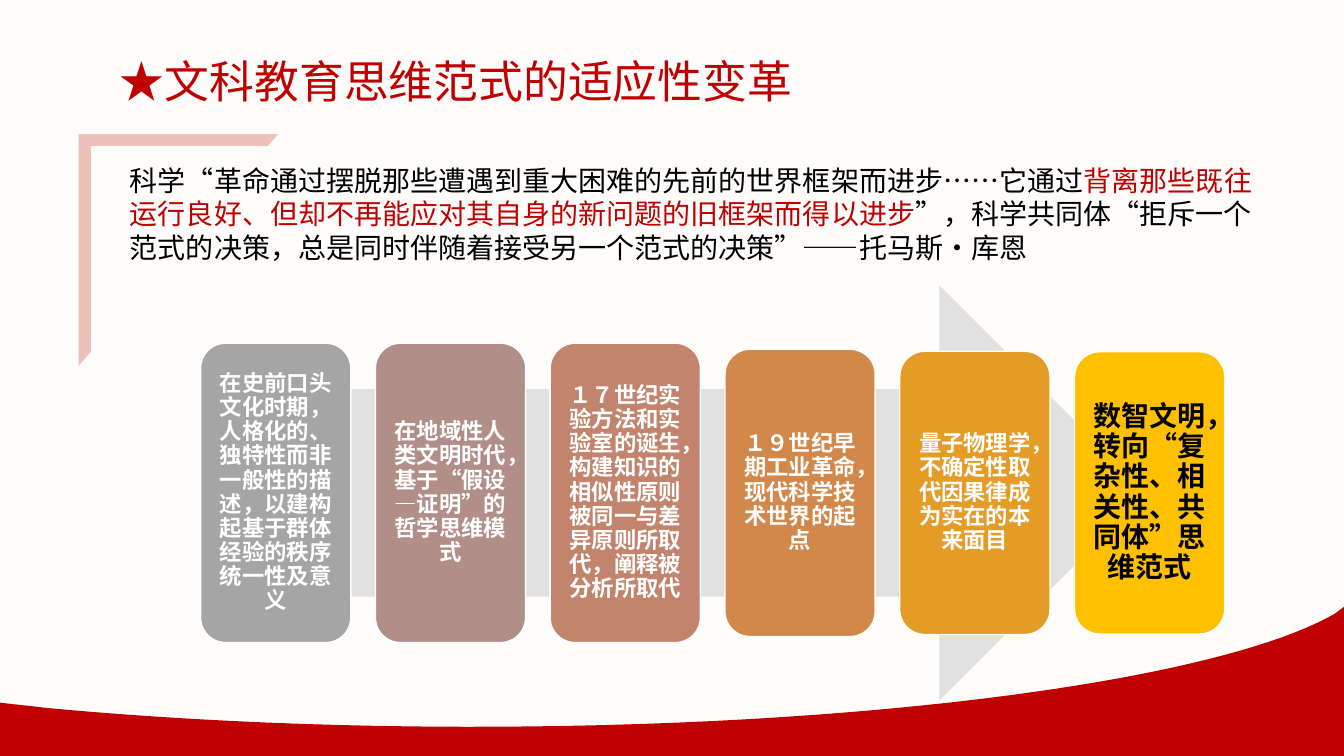
from dataclasses import dataclass

import pptx
import pptx.dml.color
import pptx.enum.shapes
import pptx.enum.text
import pptx.oxml
import pptx.oxml.ns
import pptx.util
from pptx.util import Inches, Pt


@dataclass(frozen=True)
class Theme:
    font: str = "Noto Sans CJK SC"
    background: str = "FFFDFB"
    red: str = "C00000"
    pink: str = "EEC0BA"
    arrow: str = "E1E1E1"
    black: str = "000000"
    white: str = "FFFFFF"
    title_size: int = 32
    quote_size: int = 20
    stage_size: int = 16
    final_size: int = 20


theme = Theme()
rgb = pptx.dml.color.RGBColor.from_string
shapes_enum = pptx.enum.shapes.MSO_SHAPE


def style_text(paragraph, size, color, bold=False):
    """Set the paragraph font, for Latin and East Asian letters alike."""
    font = paragraph.font
    font.size, font.bold, font.name = Pt(size), bold, theme.font
    font.color.rgb = rgb(color)
    east_asian = pptx.oxml.parse_xml(
        f'<a:ea {pptx.oxml.ns.nsdecls("a")} typeface="{theme.font}"/>')
    paragraph._p.pPr.find(pptx.oxml.ns.qn("a:defRPr")).append(east_asian)


def paint(shape, fill, line=None):
    shape.shadow.inherit = False
    shape.fill.solid()
    shape.fill.fore_color.rgb = rgb(fill)
    if line:
        shape.line.color.rgb = rgb(line)
        shape.line.width = Pt(1)
    else:
        shape.line.fill.background()


deck = pptx.Presentation()
deck.slide_width, deck.slide_height = Inches(13.333), Inches(7.5)
slide = deck.slides.add_slide(deck.slide_layouts[5])
slide.background.fill.solid()
slide.background.fill.fore_color.rgb = rgb(theme.background)

# Red wave along the bottom: three Bezier curves sampled as short lines
curves = [
    [(0, 6.97), (0.14, 6.99), (0.29, 7.0), (0.43, 7.02)],
    [(0.43, 7.02), (1.7, 7.14), (3.15, 7.21), (4.69, 7.21)],
    [(4.69, 7.21), (8.71, 7.21), (12.1, 6.74), (13.24, 6.09)],
]
steps = 40
crest = []
for curve in curves:
    for step in range(1, steps + 1):
        t = step / steps
        weights = ((1 - t) ** 3, 3 * t * (1 - t) ** 2, 3 * t * t * (1 - t), t ** 3)
        crest.append([Inches(sum(w * point[axis] for w, point in zip(weights, curve)))
                      for axis in (0, 1)])
right, bottom = deck.slide_width, deck.slide_height
wave_outline = slide.shapes.build_freeform(0, Inches(6.97))
wave_outline.add_line_segments(
    crest + [(right, Inches(6.02)), (right, bottom), (0, bottom)], close=True)
paint(wave_outline.convert_to_shape(), theme.red)

corner = slide.shapes.add_shape(
    shapes_enum.HALF_FRAME, Inches(0.78), Inches(1.33), Inches(1.98), Inches(2.3))
corner.adjustments[0], corner.adjustments[1] = 0.06, 0.062
paint(corner, theme.pink)

title = slide.shapes.title
title.left, title.top = Inches(1.09), Inches(0.22)
title.width, title.height = Inches(8.96), Inches(0.91)
title.text_frame.text = "★文科教育思维范式的适应性变革"
title.text_frame.auto_size = pptx.enum.text.MSO_AUTO_SIZE.NONE
title.text_frame.vertical_anchor = pptx.enum.text.MSO_ANCHOR.TOP
heading = title.text_frame.paragraphs[0]
heading.alignment = pptx.enum.text.PP_ALIGN.LEFT
heading.line_spacing = 1.5
style_text(heading, theme.title_size, theme.red)

quote_box = slide.shapes.add_textbox(Inches(1.19), Inches(1.57), Inches(11.52), Inches(1.11))
quote_box.text_frame.word_wrap = True
quote = quote_box.text_frame.paragraphs[0]
style_text(quote, theme.quote_size, theme.black)
for words, color in [
    ("科学“革命通过摆脱那些遭遇到重大困难的先前的世界框架而进步……它通过", theme.black),
    ("背离那些既往运行良好、但却不再能应对其自身的新问题的旧框架而得以进步", theme.red),
    ("”，科学共同体“拒斥一个范式的决策，总是同时伴随着接受另一个范式的决策”——托马斯•库恩",
     theme.black),
]:
    passage = quote.add_run()
    passage.text = words
    passage.font.color.rgb = rgb(color)

progress_arrow = slide.shapes.add_shape(
    shapes_enum.RIGHT_ARROW, Inches(2.75), Inches(2.83), Inches(8.63), Inches(4.12))
paint(progress_arrow, theme.arrow)

# Stages: equal steps along the arrow, all centred on its axis
stages = [
    ("在史前口头文化时期，人格化的、独特性而非一般性的描述，以建构起基于群体经验的秩序统一性及意 义",
     "A5A5A5", 2.97),
    ("在地域性人 类文明时代，基于“假设—证明”的哲学思维模式", "B18F88", 2.97),
    ("１７世纪实验方法和实验室的诞生，构建知识的相似性原则被同一与差异原则所取代，阐释被分析所取代",
     "C2846C", 2.97),
    ("１９世纪早期工业革命，现代科学技术世界的起点", "D2884A", 2.85),
    ("量子物理学，不确定性取代因果律成为实在的本来面目", "E59C27", 2.81),
    ("数智文明，转向“复杂性、相关性、共同体”思维范式", "FFC000", 2.8),
]
first_left, pitch, stage_width, axis_y = 1.99, 1.734, 1.49, 4.89
for index, (words, fill, height) in enumerate(stages):
    final = index == len(stages) - 1
    stage = slide.shapes.add_shape(
        shapes_enum.ROUNDED_RECTANGLE, Inches(first_left + index * pitch),
        Inches(axis_y - height / 2), Inches(stage_width), Inches(height))
    paint(stage, fill, theme.white)
    frame = stage.text_frame
    frame.word_wrap = True
    frame.vertical_anchor = pptx.enum.text.MSO_ANCHOR.MIDDLE
    inset = Inches(0.08 if final else 0.07)
    frame.margin_left = frame.margin_right = inset
    frame.margin_top = frame.margin_bottom = inset
    frame.text = words
    label = frame.paragraphs[0]
    label.alignment = pptx.enum.text.PP_ALIGN.CENTER
    label.line_spacing = 0.9
    style_text(label, theme.final_size if final else theme.stage_size,
               theme.black if final else theme.white, bold=True)

deck.save("out.pptx")
